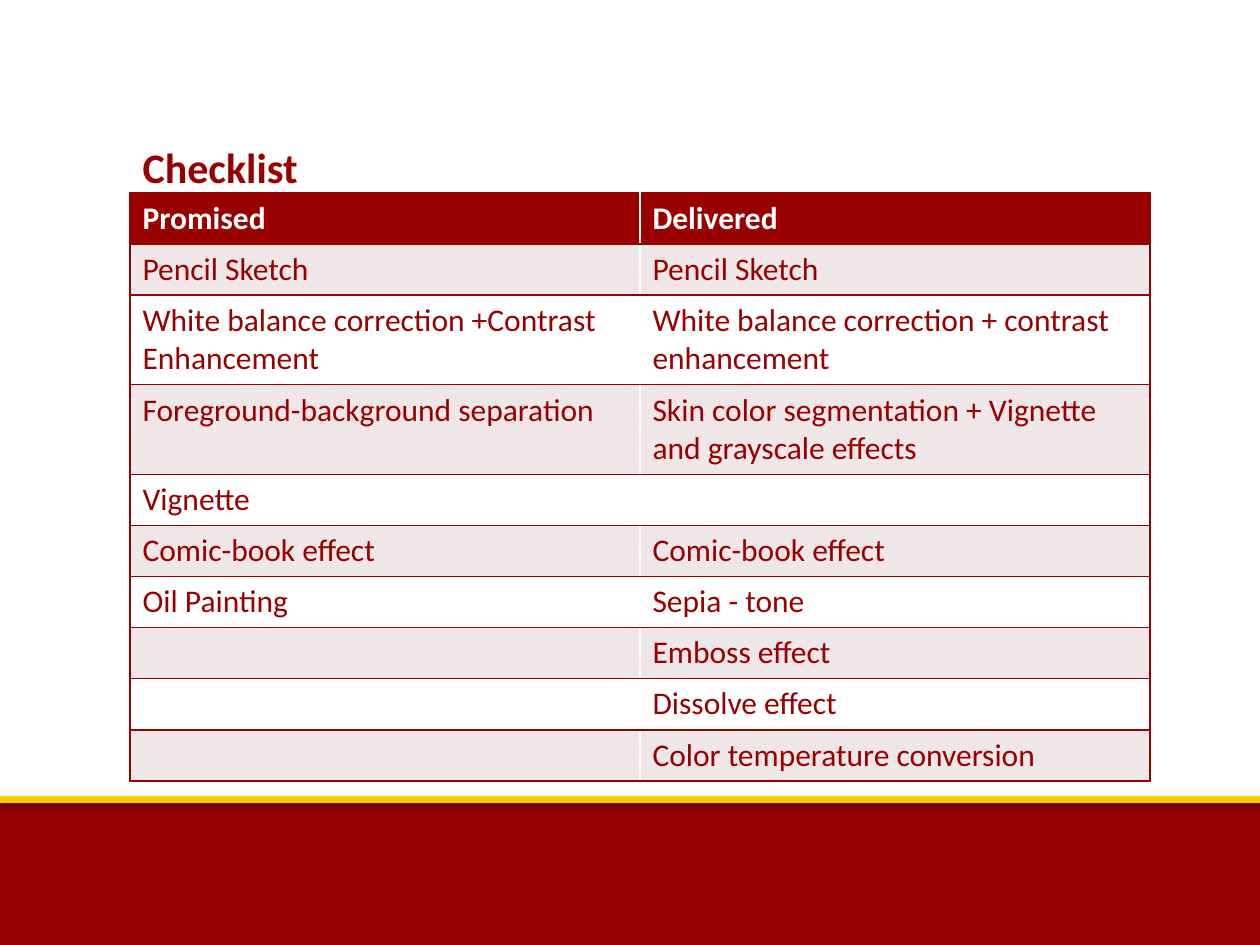
from pptx import Presentation
from pptx.dml.color import RGBColor
from pptx.enum.shapes import MSO_SHAPE
from pptx.enum.text import MSO_ANCHOR, PP_ALIGN
from pptx.oxml import parse_xml
from pptx.oxml.ns import nsdecls
from pptx.util import Pt

PIXEL = 914400 // 126
FONT = "Calibri"
COLORS = {"red": "990000", "gold": "FFCC00", "tint": "EFE7E7", "white": "FFFFFF"}
ROWS = [
    ("Promised", "Delivered"),
    ("Pencil Sketch", "Pencil Sketch"),
    ("White balance correction +Contrast Enhancement",
     "White balance correction + contrast enhancement"),
    ("Foreground-background separation",
     "Skin color segmentation + Vignette and grayscale effects"),
    ("Vignette", ""),
    ("Comic-book effect", "Comic-book effect"),
    ("Oil Painting", "Sepia - tone"),
    ("", "Emboss effect"),
    ("", "Dissolve effect"),
    ("", "Color temperature conversion"),
]


def pixels(*lengths):
    return [length * PIXEL for length in lengths]


def color(name):
    return RGBColor.from_string(COLORS[name])


def format_text(para, size, color_name, bold):
    para.font.name = FONT
    para.font.size = Pt(size)
    para.font.bold = bold
    para.font.color.rgb = color(color_name)
    para.alignment = PP_ALIGN.LEFT


def add_band(slide, place, color_name, opacity, distance):
    band = slide.shapes.add_shape(MSO_SHAPE.RECTANGLE, *pixels(*place))
    band.fill.solid()
    band.fill.fore_color.rgb = color(color_name)
    band.line.fill.background()
    band.shadow.inherit = False
    band.element.spPr.remove(band.element.spPr[-1])
    band.element.spPr.append(parse_xml(
        f'<a:effectLst {nsdecls("a")}><a:outerShdw blurRad="{Pt(3.1)}" '
        f'dist="{Pt(distance)}" dir="5400000" rotWithShape="0">'
        f'<a:srgbClr val="000000"><a:alpha val="{opacity * 1000}"/></a:srgbClr>'
        '</a:outerShdw></a:effectLst>'))


def set_title(slide, text, place):
    title = slide.shapes.title
    title.left, title.top, title.width, title.height = pixels(*place)
    frame = title.text_frame
    frame.text = text
    frame.word_wrap = True
    frame.vertical_anchor = MSO_ANCHOR.TOP
    format_text(frame.paragraphs[0], 24, "red", True)


def add_border(cell, side):
    cell._tc.get_or_add_tcPr().append(parse_xml(
        f'<a:ln{side} {nsdecls("a")} w="{Pt(1)}"><a:solidFill>'
        f'<a:srgbClr val="{COLORS["red"]}"/></a:solidFill></a:ln{side}>'))


def add_checklist(slide, place, row_height):
    frame = slide.shapes.add_table(len(ROWS), len(ROWS[0]), *pixels(*place))
    table = frame.table
    for row_index, texts in enumerate(ROWS):
        table.rows[row_index].height = row_height * PIXEL
        header = row_index == 0
        fill = "red" if header else ("white", "tint")[row_index % 2]
        for column_index, text in enumerate(texts):
            cell = table.cell(row_index, column_index)
            cell.text = text
            format_text(cell.text_frame.paragraphs[0], 18,
                        "white" if header else "red", header)
            for side in ("LR"[column_index], "T", "B"):
                add_border(cell, side)
            cell.fill.solid()
            cell.fill.fore_color.rgb = color(fill)


def main():
    """Build the checklist slide and save it."""
    deck = Presentation()
    deck.slide_width, deck.slide_height = pixels(1260, 945)
    slide = deck.slides.add_slide(deck.slide_layouts[5])
    add_band(slide, (0, 800, 1260, 145), "red", 35, 1.8)
    add_band(slide, (0, 796, 1260, 7), "gold", 38, 1.6)
    set_title(slide, "Checklist", (130, 135, 1020, 121))
    add_checklist(slide, (130, 193, 1020, 510), 51)
    deck.save("out.pptx")


main()
